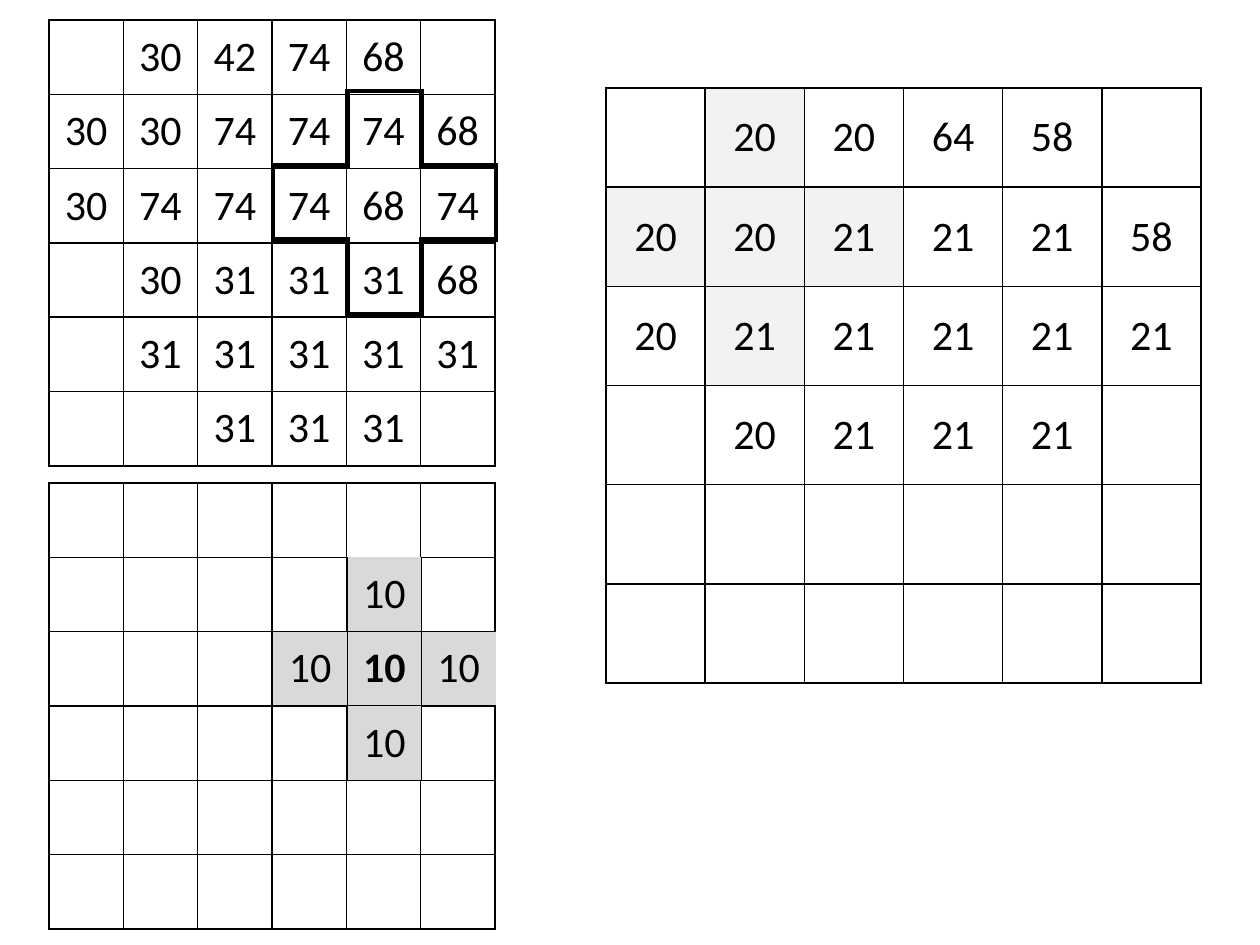
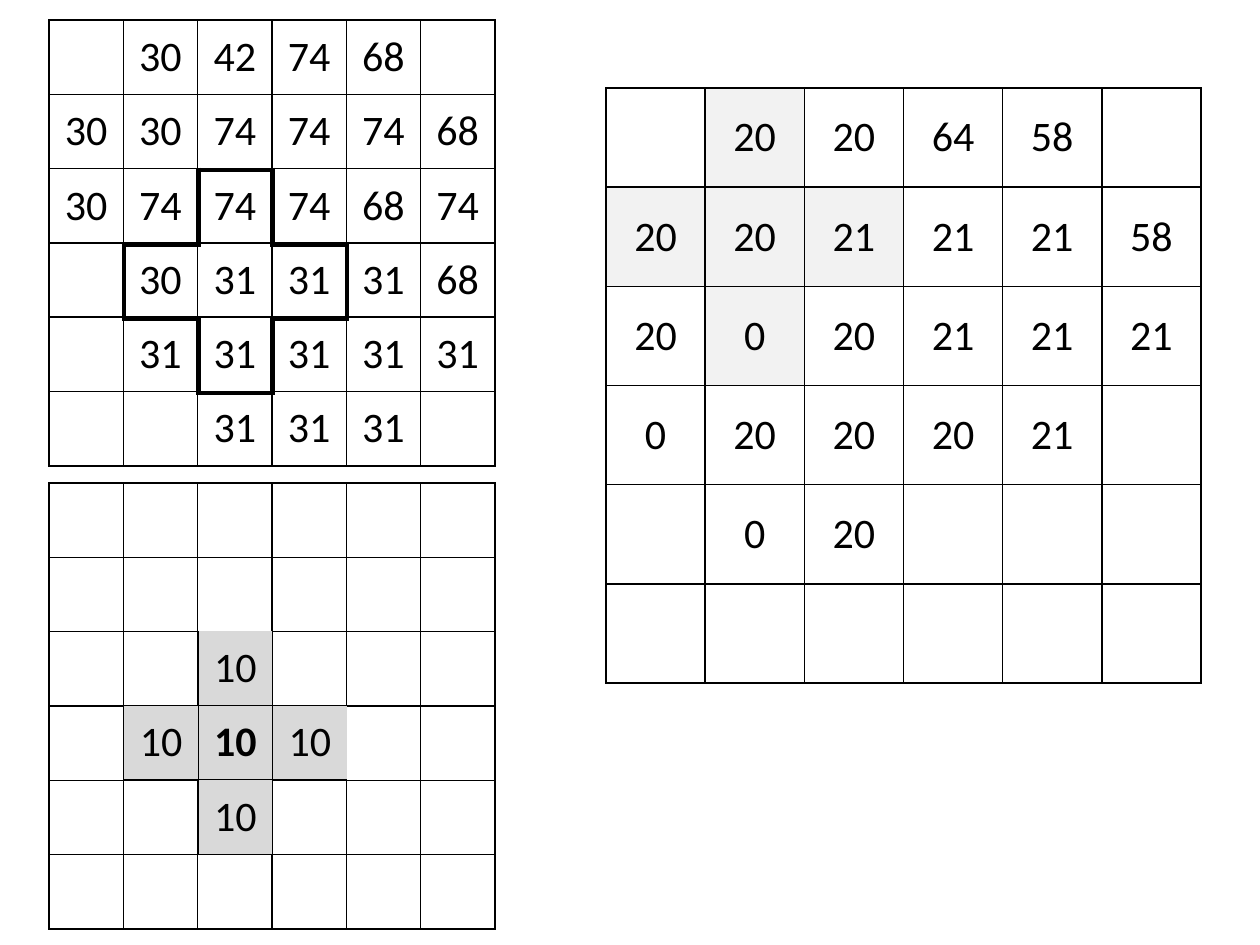
"""Build two slides that show a cross-shaped window moving over number grids."""
from itertools import product

from lxml.etree import SubElement
from pptx import Presentation
from pptx.dml.color import RGBColor
from pptx.enum.text import MSO_ANCHOR, PP_ALIGN
from pptx.oxml.ns import qn
from pptx.util import Emu, Pt

PX = 914400 / 126
FONT = "Calibri"
BLACK, LIGHT_GREY, MID_GREY = "000000", "F2F2F2", "D9D9D9"
NO_STYLE = "{2D5ABB26-0587-4C30-8999-92F81FD0307C}"
SIDES = {"a:lnL": (0, -1), "a:lnR": (0, 1), "a:lnT": (-1, 0), "a:lnB": (1, 0)}
BLOCK = set(product(range(3), repeat=2))
CROSS = {(0, 1), (1, 0), (1, 1), (1, 2), (2, 1)}
SMALL_GRID, LARGE_GRID, WINDOW = 446, 595, 223

EMPTY_ROWS = ["- - - - - -"] * 6
EMPTY_WINDOW = ["- - -"] * 3
STRUCTURE = ["- 10 -", "10 10 10", "- 10 -"]
INPUT = [
    "- 30 42 74 68 -",
    "30 30 74 74 74 68",
    "30 74 74 74 68 74",
    "- 30 31 31 31 68",
    "- 31 31 31 31 31",
    "- - 31 31 31 -",
]
STEPS = [
    {
        "result": [
            "- 20 20 64 58 -",
            "20 20 21 21 21 58",
            "20 21 21 21 21 21",
            "- 20 21 21 21 -",
            "- - - - - -",
            "- - - - - -",
        ],
        "structure_at": (273, 557),
        "outline_at": (273, 91),
    },
    {
        "result": [
            "- 20 20 64 58 -",
            "20 20 21 21 21 58",
            "20 0 20 21 21 21",
            "0 20 20 20 21 -",
            "- 0 20 - - -",
            "- - - - - -",
        ],
        "structure_at": (124, 631),
        "outline_at": (124, 170),
    },
]


def write_text(cell, text, size=24, color=BLACK, bold=False):
    cell.vertical_anchor = MSO_ANCHOR.MIDDLE
    paragraph = cell.text_frame.paragraphs[0]
    paragraph.alignment = PP_ALIGN.CENTER
    run = paragraph.add_run()
    run.text = text
    run.font.name = FONT
    run.font.size = Pt(size)
    run.font.bold = bold
    run.font.color.rgb = RGBColor.from_string(color)


def add_grid(slide, position, size, rows, has_line=lambda here, there: True,
             line_width=1, cross_fill=None, bold_cell=None):
    count = len(rows)
    left, top, side = (Emu(round(length * PX)) for length in (*position, size))
    table = slide.shapes.add_table(count, count, left, top, side, side).table
    table.first_row = table.horz_banding = False
    table._tbl.tblPr.find(qn("a:tableStyleId")).text = NO_STYLE
    for line in (*table.columns, *table.rows):
        setattr(line, "width" if hasattr(line, "width") else "height", Emu(side // count))
    for here in product(range(count), repeat=2):
        cell = table.cell(*here)
        cell.margin_left = cell.margin_right = 0
        properties = cell._tc.get_or_add_tcPr()
        for tag, (down, right) in SIDES.items():
            if has_line(here, (here[0] + down, here[1] + right)):
                border = SubElement(properties, qn(tag), w=str(Pt(line_width)))
                fill = SubElement(border, qn("a:solidFill"))
                SubElement(fill, qn("a:srgbClr"), val=BLACK)
        if cross_fill and here in CROSS:
            cell.fill.solid()
            cell.fill.fore_color.rgb = RGBColor.from_string(cross_fill)
        else:
            cell.fill.background()
        value = rows[here[0]].split()[here[1]]
        if value != "-":
            write_text(cell, value, bold=here == bold_cell)


presentation = Presentation()
presentation.slide_width = Emu(round(1260 * PX))
presentation.slide_height = Emu(round(945 * PX))

for step in STEPS:
    slide = presentation.slides.add_slide(presentation.slide_layouts[6])
    add_grid(slide, (606, 88), LARGE_GRID, step["result"], cross_fill=LIGHT_GREY)
    add_grid(slide, (49, 483), SMALL_GRID, EMPTY_ROWS)
    add_grid(slide, step["structure_at"], WINDOW, STRUCTURE,
             has_line=lambda here, there: there in BLOCK,
             cross_fill=MID_GREY, bold_cell=(1, 1))
    add_grid(slide, (49, 20), SMALL_GRID, INPUT)
    add_grid(slide, step["outline_at"], WINDOW, EMPTY_WINDOW,
             has_line=lambda here, there: (here in CROSS) != (there in CROSS),
             line_width=3)

presentation.save("out.pptx")
